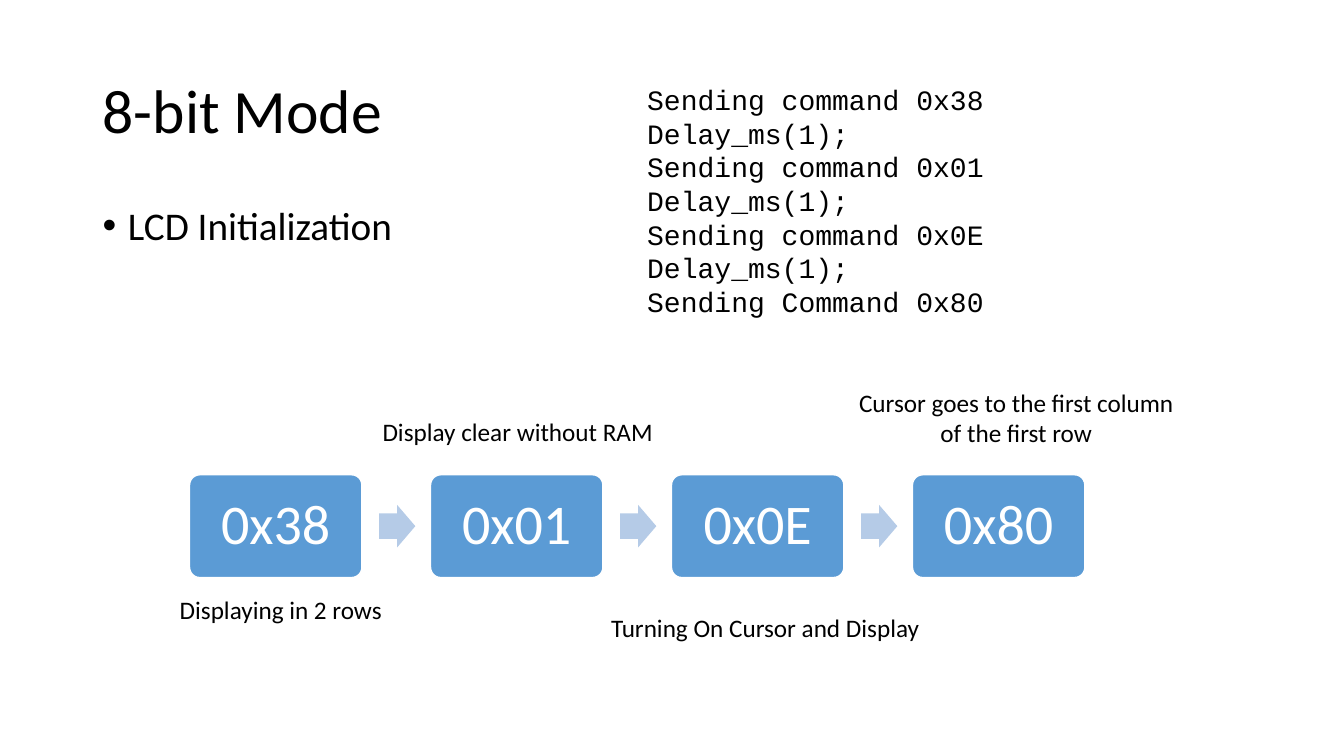
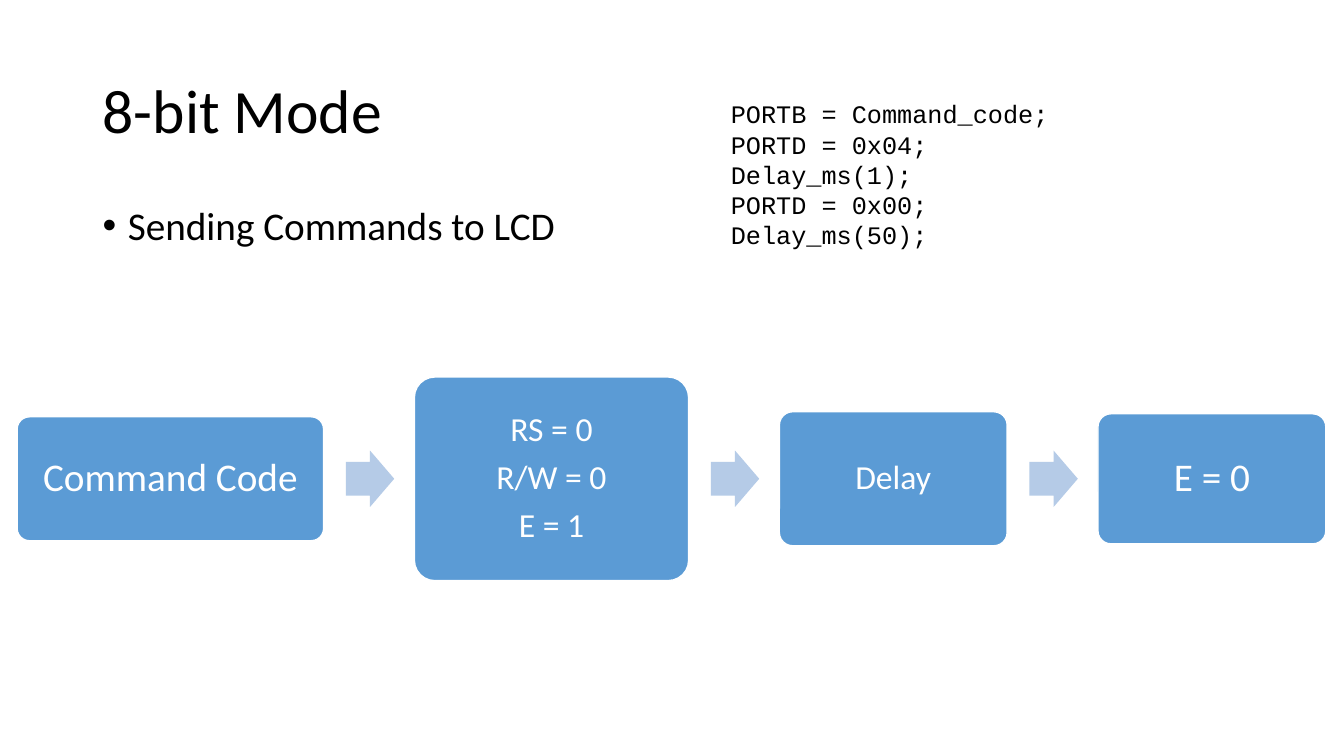
from pptx import Presentation
from pptx.dml.color import RGBColor
from pptx.enum.shapes import MSO_SHAPE
from pptx.enum.text import MSO_ANCHOR, PP_ALIGN
from pptx.oxml.ns import qn
from pptx.util import Inches, Pt
from lxml.etree import SubElement

COLORS = {"text": "000000", "box": "5B9BD5", "arrow": "B5CBE7", "white": "FFFFFF"}
FONT = "Calibri"
CODE_FONT = "Courier New"


class Deck:
    def __init__(self):
        self.presentation = Presentation()
        self.presentation.slide_width = Inches(13.33)
        self.presentation.slide_height = Inches(7.5)
        self.page = None

    def color(self, name):
        return RGBColor.from_string(COLORS[name])

    def add_page(self, title, topic):
        layout = self.presentation.slide_layouts[6]
        self.page = self.presentation.slides.add_slide(layout)
        self.text(0.92, 0.4, 11.5, 1.45, [title], 44,
                  anchor=MSO_ANCHOR.MIDDLE, line_spacing=0.9)
        frame = self.text(0.92, 2, 11.5, 4.76, [topic], 28, line_spacing=0.9)
        self.bullet(frame.paragraphs[0])

    def bullet(self, paragraph):
        properties = paragraph._p.get_or_add_pPr()
        properties.set("marL", str(Inches(0.25)))
        properties.set("indent", str(Inches(-0.25)))
        SubElement(properties, qn("a:buFont")).set("typeface", "Arial")
        SubElement(properties, qn("a:buChar")).set("char", "•")

    def fill_text(self, frame, lines, size, color="text", font=FONT,
                  align=PP_ALIGN.LEFT, line_spacing=None, gap=0):
        for index, line in enumerate(lines):
            paragraph = frame.paragraphs[0] if index == 0 else frame.add_paragraph()
            paragraph.text = line
            paragraph.alignment = align
            paragraph.font.name = font
            paragraph.font.size = Pt(size)
            paragraph.font.color.rgb = self.color(color)
            if line_spacing:
                paragraph.line_spacing = line_spacing
            if gap and index < len(lines) - 1:
                paragraph.space_after = Pt(gap)

    def text(self, left, top, width, height, lines, size,
             anchor=MSO_ANCHOR.TOP, wrap=True, **style):
        box = self.page.shapes.add_textbox(
            Inches(left), Inches(top), Inches(width), Inches(height))
        frame = box.text_frame
        frame.word_wrap = wrap
        frame.vertical_anchor = anchor
        self.fill_text(frame, lines, size, **style)
        return frame

    def caption(self, left, top, width, height, lines):
        self.text(left, top, width, height, lines, 18,
                  wrap=False, align=PP_ALIGN.CENTER)

    def code(self, left, top, width, height, lines, size):
        self.text(left, top, width, height, lines, size, font=CODE_FONT)

    def shape(self, kind, left, middle, width, height, fill):
        shape = self.page.shapes.add_shape(
            kind, Inches(left), Inches(middle - height / 2),
            Inches(width), Inches(height))
        shape.shadow.inherit = False
        shape.fill.solid()
        shape.fill.fore_color.rgb = self.color(fill)
        return shape

    def step(self, left, middle, width, height, lines, size):
        box = self.shape(MSO_SHAPE.ROUNDED_RECTANGLE, left, middle, width, height, "box")
        box.adjustments[0] = 0.1
        box.line.color.rgb = self.color("white")
        box.line.width = Pt(1)
        frame = box.text_frame
        frame.word_wrap = True
        frame.vertical_anchor = MSO_ANCHOR.MIDDLE
        frame.margin_left = frame.margin_right = Inches(0.1)
        frame.margin_top = frame.margin_bottom = Inches(0.1)
        self.fill_text(frame, lines, size, "white", align=PP_ALIGN.CENTER,
                       line_spacing=0.9, gap=size * 0.35)

    def arrow(self, left, middle, width, height):
        arrow = self.shape(MSO_SHAPE.RIGHT_ARROW, left, middle, width, height, "arrow")
        arrow.adjustments[0] = 0.6
        arrow.adjustments[1] = 0.5
        arrow.line.fill.background()

    def flow(self, left, middle, steps, arrow_size, gap_before, gap_after):
        for index, (width, height, lines, size) in enumerate(steps):
            if index:
                self.arrow(left + gap_before, middle, *arrow_size)
                left += gap_before + arrow_size[0] + gap_after
            self.step(left, middle, width, height, lines, size)
            left += width


deck = Deck()

deck.add_page("8-bit Mode", "LCD Initialization")
commands = ["0x38", "0x01", "0x0E", "0x80"]
deck.flow(1.88, 5.22, [(1.71, 1.02, [command], 40) for command in commands],
          (0.36, 0.42), 0.17, 0.15)
deck.caption(1.67, 5.85, 2.23, 0.4, ["Displaying in 2 rows"])
deck.caption(3.68, 4.08, 2.91, 0.4, ["Display clear without RAM"])
deck.caption(5.94, 6.03, 3.3, 0.4, ["Turning On Cursor and Display"])
deck.caption(8.4, 3.79, 3.36, 0.71,
             ["Cursor goes to the first column", "of the first row"])
deck.code(6.32, 0.77, 4.55, 2.46, [
    "Sending command 0x38",
    "Delay_ms(1);",
    "Sending command 0x01",
    "Delay_ms(1);",
    "Sending command 0x0E",
    "Delay_ms(1);",
    "Sending Command 0x80",
], 20)

deck.add_page("8-bit Mode", "Sending Commands to LCD")
deck.flow(0.17, 4.75, [
    (3.04, 1.23, ["Command Code"], 28),
    (2.72, 2.02, ["RS = 0", "R/W = 0", "E = 1"], 24),
    (2.26, 1.33, ["Delay"], 24),
    (2.26, 1.29, ["E = 0"], 28),
], (0.48, 0.56), 0.22, 0.2)
deck.code(7.15, 0.93, 4.59, 1.62, [
    "PORTB = Command_code;",
    "PORTD = 0x04;",
    "Delay_ms(1);",
    "PORTD = 0x00;",
    "Delay_ms(50);",
], 18)

deck.presentation.save("out.pptx")
